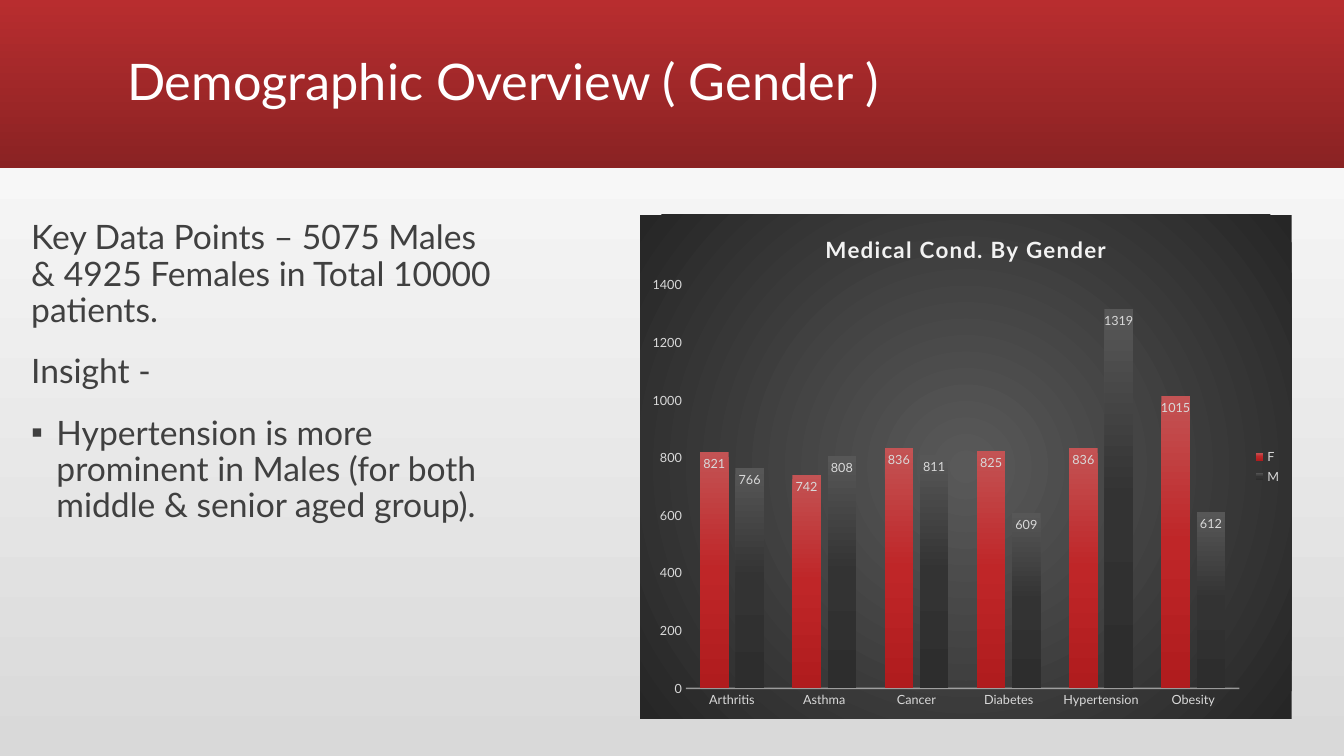
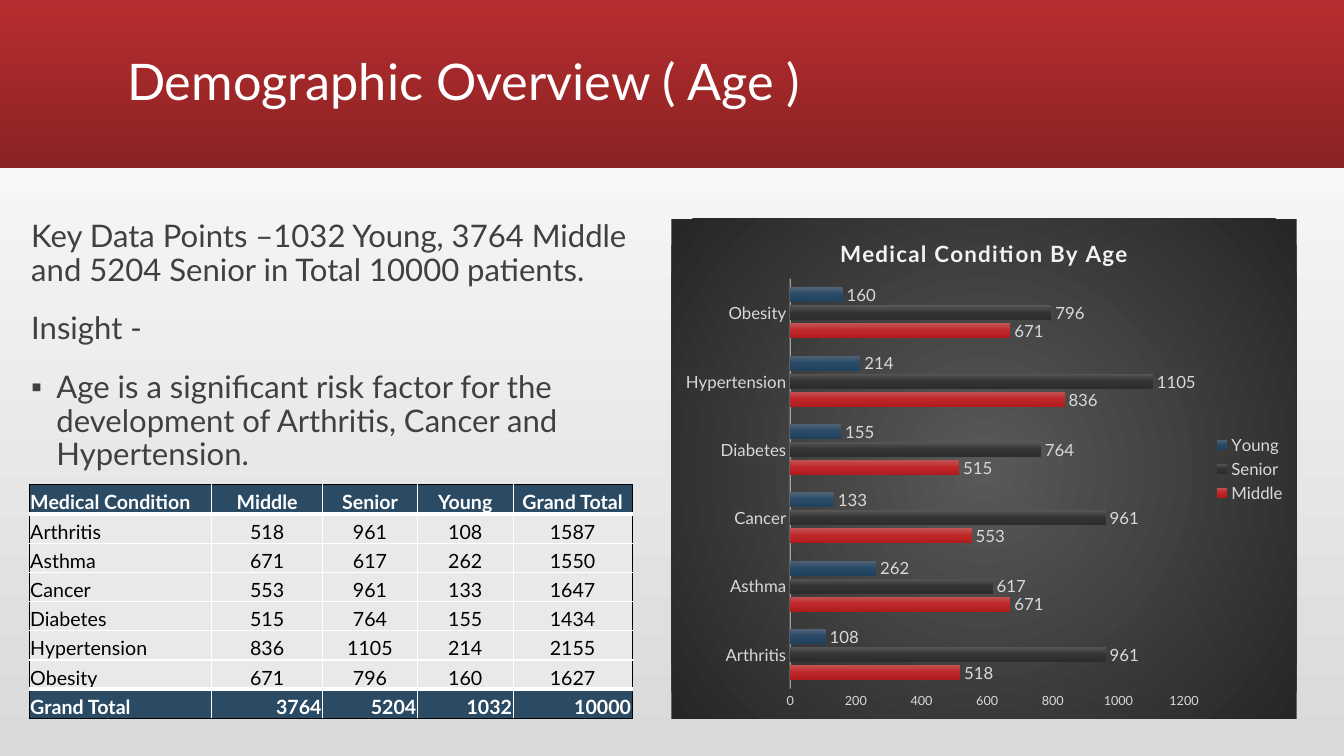
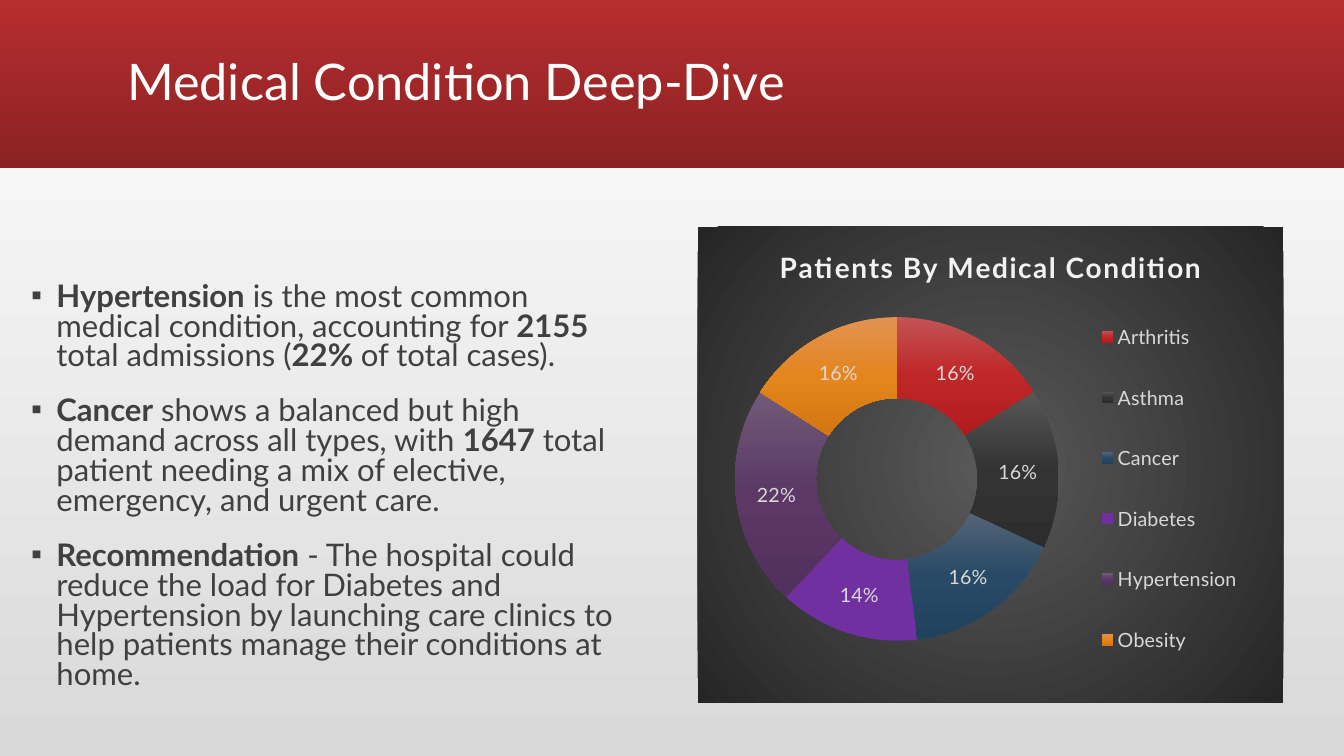
import lxml.etree
import pptx
import pptx.chart.data
import pptx.dml.color
import pptx.enum.chart
import pptx.enum.shapes
import pptx.enum.text
import pptx.oxml
import pptx.oxml.ns
import pptx.util

Inches = pptx.util.Inches
Pt = pptx.util.Pt
qn = pptx.oxml.ns.qn
nsdecls = pptx.oxml.ns.nsdecls
Align = pptx.enum.text.PP_ALIGN
Anchor = pptx.enum.text.MSO_ANCHOR
ChartType = pptx.enum.chart.XL_CHART_TYPE
LabelPosition = pptx.enum.chart.XL_LABEL_POSITION
LegendPosition = pptx.enum.chart.XL_LEGEND_POSITION
TickMark = pptx.enum.chart.XL_TICK_MARK

FONT = "Lato"
WIDTH, HEIGHT = 13.33, 7.5
BAND_HEIGHT = 1.67
BODY_LEFT, BODY_TOP = 0.21, 2.14
COLORS = {
    "white": "FFFFFF",
    "black": "000000",
    "text": "404040",
    "chart_text": "D9D9D9",
    "chart_title": "F2F2F2",
    "navy": "2B4A63",
    "cell": "E8E9EA",
}
GRADIENTS = {
    "page": ["D9D9D9", "FFFFFF"],
    "band": ["B82D2F", "8A2223"],
    "chart": ["595959", "262626"],
    "red": ["C35354", "BF2628", "B01C1E"],
    "gray": ["575757", "333333", "2D2D2D"],
    "blue": ["536477", "284A66", "21425D"],
    "violet": ["7030A0", "7030A0"],
    "plum": ["705A78", "5B3866", "52305D"],
    "orange": ["E19352", "E4851D", "D47710"],
}
CONDITIONS = ["Arthritis", "Asthma", "Cancer", "Diabetes", "Hypertension", "Obesity"]
AGE_GROUPS = {
    "Middle": [518, 671, 553, 515, 836, 671],
    "Senior": [961, 617, 961, 764, 1105, 796],
    "Young": [108, 262, 133, 155, 214, 160],
}
AGE_COLUMNS = [1.81, 1.1, 0.94, 0.95, 1.18]

SLIDES = [
    {
        "title": "Demographic Overview ( Gender )",
        "body": {
            "size": 24, "spacing": 0.9, "width": 4.76, "height": 5, "inset": 0.05,
            "lines": [
                (False, "Key Data Points – 5075 Males & 4925 Females in Total 10000 patients."),
                (False, "Insight -"),
                (True, "Hypertension is more prominent in Males (for both middle & senior aged group)."),
            ],
        },
        "chart": {
            "type": ChartType.COLUMN_CLUSTERED,
            "box": (6.35, 2.13, 6.46, 5),
            "plot": (0.07, 0.14, 0.85, 0.8),
            "title": "Medical Cond. By Gender", "title_size": 16,
            "size": 9, "gap": 100, "overlap": -24,
            "labels": LabelPosition.INSIDE_END,
            "series": {
                "F": [821, 742, 836, 825, 836, 1015],
                "M": [766, 808, 811, 609, 1319, 612],
            },
            "fills": ["red", "gray"],
        },
    },
    {
        "title": "Demographic Overview ( Age )",
        "body": {
            "size": 22.2, "spacing": 0.9, "width": 6.2, "height": 2.72, "inset": 0.05,
            "lines": [
                (False, "Key Data Points –1032 Young, 3764 Middle and 5204 Senior in Total 10000 patients."),
                (False, "Insight -"),
                (True, "Age is a significant risk factor for the development of Arthritis, Cancer and Hypertension."),
            ],
        },
        "chart": {
            "type": ChartType.BAR_CLUSTERED,
            "box": (6.66, 2.17, 6.2, 4.96),
            "plot": (0.19, 0.12, 0.63, 0.82),
            "title": "Medical Condition By Age", "title_size": 16,
            "size": 12, "gap": 115, "overlap": -20,
            "labels": LabelPosition.OUTSIDE_END,
            "series": AGE_GROUPS,
            "fills": ["red", "gray", "blue"],
        },
        "table": True,
    },
    {
        "title": "Medical Condition Deep-Dive",
        "body": {
            "size": 22.2, "spacing": 0.8, "width": 6.2, "height": 5, "inset": 0.67,
            "lines": [
                (True, "**Hypertension** is the most common medical condition, accounting for "
                       "**2155** total admissions (**22% **of total cases)."),
                (True, "**Cancer** shows a balanced but high demand across all types, with **1647** "
                       "total patient needing a mix of elective, emergency, and urgent care."),
                (True, "**Recommendation** - The hospital could reduce the load for Diabetes and "
                       "Hypertension by launching care clinics to help patients manage their "
                       "conditions at home."),
            ],
        },
        "chart": {
            "type": ChartType.DOUGHNUT,
            "box": (6.92, 2.25, 5.81, 4.72),
            "plot": (0.04, 0.19, 0.6, 0.68),
            "legend": (0.67, 0.13, 0.27, 0.84),
            "title": "Patients By Medical Condition", "title_size": 20,
            "size": 14,
            "series": {"Series 1": [0.16, 0.16, 0.16, 0.14, 0.22, 0.16]},
            "fills": ["red", "gray", "blue", "violet", "plum", "orange"],
        },
    },
]


def rgb(name):
    return pptx.dml.color.RGBColor.from_string(COLORS[name])


def style(font, size, color, bold=None):
    font.name = FONT
    font.size = Pt(size)
    font.color.rgb = rgb(color)
    font.bold = bold


def write(paragraph, text, size, color, bold=False, align=Align.LEFT, spacing=None,
          before=None, bullet=None, tracking=None):
    paragraph.alignment = align
    paragraph.line_spacing = spacing
    paragraph.space_before = before
    for index, part in enumerate(text.split("**")):
        if part:
            run = paragraph.add_run()
            run.text = part
            style(run.font, size, color, bold or index % 2 == 1)
            if tracking:
                run.font._element.set("spc", str(tracking))
    if bullet is not None:
        properties = paragraph._p.get_or_add_pPr()
        indent = Inches(0.25) if bullet else 0
        properties.set("marL", str(indent))
        properties.set("indent", str(-indent))
        marker = lxml.etree.SubElement(properties, qn("a:buChar" if bullet else "a:buNone"))
        if bullet:
            marker.set("char", "▪")


def gradient(name, angle=90, radial=False):
    colors = GRADIENTS[name]
    stops = "".join(
        f'<a:gs pos="{index * 100000 // (len(colors) - 1)}"><a:srgbClr val="{color}"/></a:gs>'
        for index, color in enumerate(colors))
    direction = f'<a:lin ang="{angle * 60000}" scaled="0"/>'
    if radial:
        direction = ('<a:path path="circle">'
                     '<a:fillToRect l="50000" t="50000" r="50000" b="50000"/></a:path>')
    return pptx.oxml.parse_xml(
        f'<a:gradFill {nsdecls("a")} rotWithShape="1"><a:gsLst>{stops}</a:gsLst>{direction}</a:gradFill>')


def paint(fill, name, angle=90):
    fill.gradient()
    properties = fill._xPr
    properties.replace(properties.find(qn("a:gradFill")), gradient(name, angle))


def place(shape, left, top, width, height):
    shape.left, shape.top = Inches(left), Inches(top)
    shape.width, shape.height = Inches(width), Inches(height)


def add_band(slide):
    band = slide.shapes.add_shape(pptx.enum.shapes.MSO_SHAPE.RECTANGLE, 0, 0,
                                  Inches(WIDTH), Inches(BAND_HEIGHT))
    band.shadow.inherit = False
    band.line.fill.background()
    paint(band.fill, "band")
    slide.shapes._spTree.insert(2, band._element)


def add_title(slide, text):
    frame = slide.shapes.title.text_frame
    frame.auto_size = pptx.enum.text.MSO_AUTO_SIZE.NONE
    frame.vertical_anchor = Anchor.MIDDLE
    write(frame.paragraphs[0], text, 36, "white", spacing=0.9)


def add_body(slide, content):
    body = slide.placeholders[1]
    place(body, BODY_LEFT, BODY_TOP, content["width"], content["height"])
    frame = body.text_frame
    frame.auto_size = pptx.enum.text.MSO_AUTO_SIZE.NONE
    frame.vertical_anchor = Anchor.TOP
    frame.margin_top = Inches(content["inset"])
    for index, (bullet, text) in enumerate(content["lines"]):
        paragraph = frame.add_paragraph() if index else frame.paragraphs[0]
        write(paragraph, text, content["size"], "text", spacing=content["spacing"],
              before=Pt(18), bullet=bullet)


def set_layout(parent, index, box, target=""):
    for existing in parent.findall(qn("c:layout")):
        parent.remove(existing)
    modes = "".join(f'<c:{side}Mode val="edge"/>' for side in "xy")
    values = "".join(f'<c:{side} val="{value}"/>' for side, value in zip("xywh", box))
    parent.insert(index, pptx.oxml.parse_xml(
        f'<c:layout {nsdecls("c")}><c:manualLayout>{target}{modes}{values}</c:manualLayout></c:layout>'))


def format_axes(chart, content):
    plot = chart.plots[0]
    plot.gap_width = content["gap"]
    plot.overlap = content["overlap"]
    plot.vary_by_categories = False
    for axis, size in ((chart.category_axis, content["size"]), (chart.value_axis, 9)):
        axis.has_major_gridlines = False
        axis.major_tick_mark = axis.minor_tick_mark = TickMark.NONE
        style(axis.tick_labels.font, size, "chart_text")
    chart.value_axis.format.line.fill.background()
    line = chart.category_axis.format.line
    line.width = Pt(1)
    line.color.rgb = rgb("chart_title")
    color = next(chart.category_axis._element.find(qn("c:spPr")).iter(qn("a:srgbClr")))
    lxml.etree.SubElement(color, qn("a:alpha")).set("val", "54000")


def add_chart(slide, content):
    data = pptx.chart.data.CategoryChartData()
    data.categories = CONDITIONS
    for name, values in content["series"].items():
        data.add_series(name, values)
    chart = slide.shapes.add_chart(
        content["type"], *map(Inches, content["box"]), data).chart
    style(chart.font, 10, "black")
    chart.has_title = True
    write(chart.chart_title.text_frame.paragraphs[0], content["title"], content["title_size"],
          "chart_title", bold=True, align=Align.CENTER, tracking=100)
    chart.chart_title.include_in_layout = False

    root = chart._chartSpace
    panel = pptx.oxml.parse_xml(f'<c:spPr {nsdecls("c", "a")}/>')
    panel.append(gradient("chart", radial=True))
    lxml.etree.SubElement(lxml.etree.SubElement(panel, qn("a:ln")), qn("a:noFill"))
    root.find(qn("c:chart")).addnext(panel)
    set_layout(next(root.iter(qn("c:plotArea"))), 0, content["plot"],
               '<c:layoutTarget val="inner"/>')

    is_ring = content["type"] == ChartType.DOUGHNUT
    chart.has_legend = True
    chart.legend.position = LegendPosition.BOTTOM if is_ring else LegendPosition.RIGHT
    chart.legend.include_in_layout = False
    style(chart.legend.font, content["size"], "chart_text")

    all_series = list(chart.plots[0].series)
    if is_ring:
        set_layout(chart.legend._element, 1, content["legend"])
        next(root.iter(qn("c:holeSize"))).set("val", "75")
        painted = [all_series[0].points[index] for index in range(len(CONDITIONS))]
    else:
        format_axes(chart, content)
        painted = all_series
    for item, name in zip(painted, content["fills"]):
        paint(item.format.fill, name)
        item.format.line.fill.background()
    for series in all_series:
        labels = series.data_labels
        labels.show_value = True
        style(labels.font, content["size"], "chart_text")
        if is_ring:
            labels.number_format = "0%"
            labels.number_format_is_linked = False
        else:
            labels.position = content["labels"]


def set_borders(cell, borders):
    properties = cell._tc.get_or_add_tcPr()
    for index, (side, (color, width)) in enumerate(borders.items()):
        properties.insert(index, pptx.oxml.parse_xml(
            f'<a:ln{side} {nsdecls("a")} w="{Pt(width)}"><a:solidFill>'
            f'<a:srgbClr val="{COLORS[color]}"/></a:solidFill></a:ln{side}>'))


def add_age_table(slide):
    groups = list(AGE_GROUPS.values())
    rows = [["Medical Condition", *AGE_GROUPS, "Grand Total"]]
    rows += [[name, *values, sum(values)] for name, *values in zip(CONDITIONS, *groups)]
    totals = [sum(values) for values in groups]
    rows.append(["Grand Total", *totals, sum(totals)])
    last_row, last_column = len(rows) - 1, len(AGE_COLUMNS) - 1
    outer, inner, thick = ("black", 1), ("white", 1), ("white", 3)
    table = slide.shapes.add_table(
        len(rows), len(AGE_COLUMNS), Inches(0.29), Inches(4.81),
        Inches(sum(AGE_COLUMNS)), Inches(0.29 * len(rows))).table
    table.horz_banding = False
    for column, width in zip(table.columns, AGE_COLUMNS):
        column.width = Inches(width)
    for row_index, values in enumerate(rows):
        table.rows[row_index].height = Inches(0.29)
        strong = row_index in (0, last_row)
        for column_index, value in enumerate(values):
            cell = table.cell(row_index, column_index)
            cell.vertical_anchor = Anchor.BOTTOM
            cell.margin_left = cell.margin_right = cell.margin_top = Inches(0.01)
            cell.margin_bottom = 0
            align = Align.RIGHT if row_index == last_row else Align.CENTER
            write(cell.text_frame.paragraphs[0], str(value), 14,
                  "white" if strong else "black", bold=strong,
                  align=align if column_index else Align.LEFT)
            cell.fill.solid()
            cell.fill.fore_color.rgb = rgb("navy" if strong else "cell")
            set_borders(cell, {
                "L": inner if column_index else outer,
                "R": outer if column_index == last_column else inner,
                "T": {0: outer, last_row: thick}.get(row_index, inner),
                "B": {0: thick, last_row: outer}.get(row_index, inner),
            })


def main():
    presentation = pptx.Presentation()
    presentation.slide_width, presentation.slide_height = Inches(WIDTH), Inches(HEIGHT)
    paint(presentation.slide_master.background.fill, "page", 270)
    layout = presentation.slide_layouts[1]
    place(layout.placeholders[0], 1.16, 0.11, 11, 1.45)
    for content in SLIDES:
        slide = presentation.slides.add_slide(layout)
        add_band(slide)
        add_title(slide, content["title"])
        add_body(slide, content["body"])
        add_chart(slide, content["chart"])
        if content.get("table"):
            add_age_table(slide)
    presentation.save("out.pptx")


if __name__ == "__main__":
    main()
